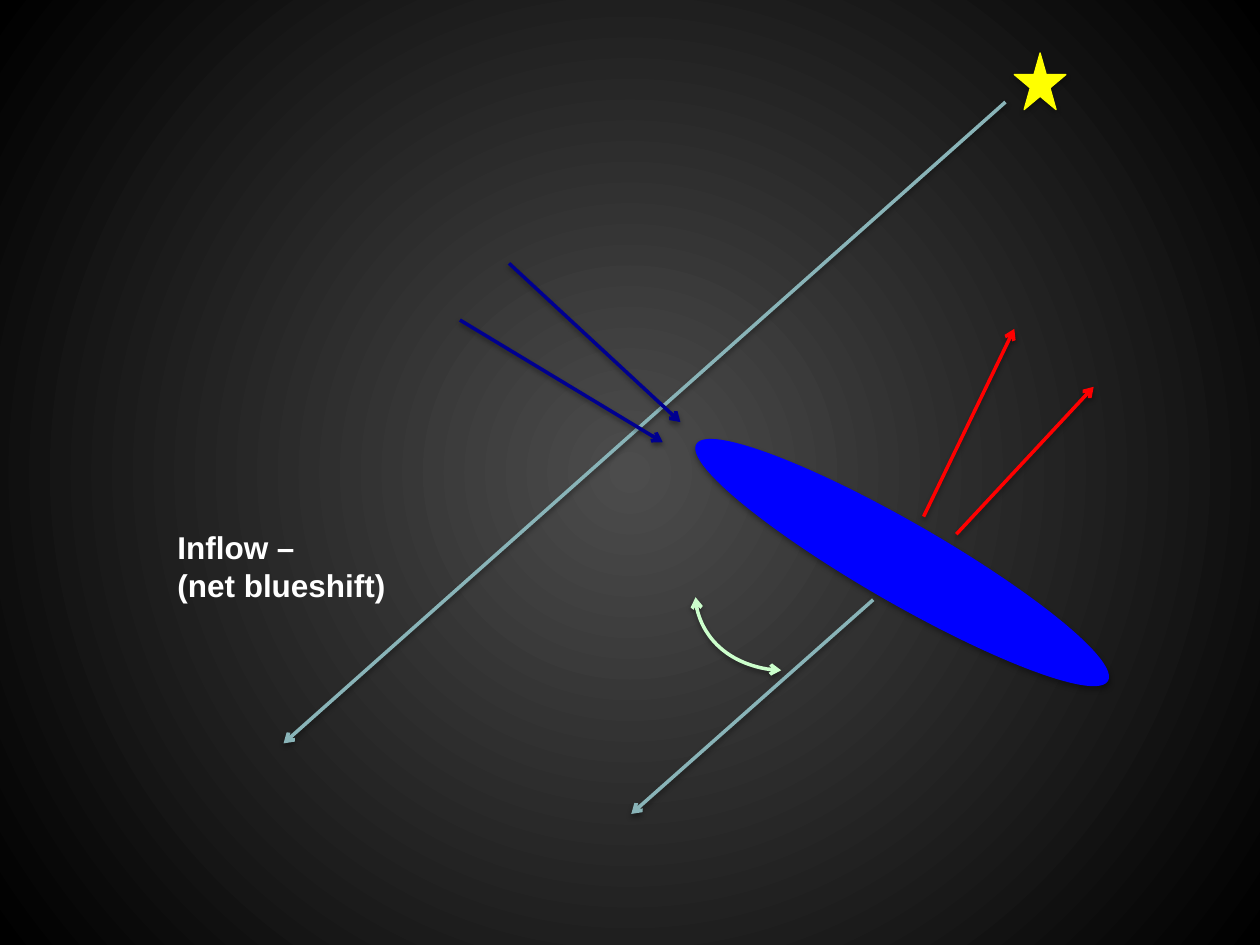
from typing import NamedTuple

from lxml.etree import SubElement
from pptx import Presentation
from pptx.dml.color import RGBColor
from pptx.enum.shapes import MSO_CONNECTOR, MSO_SHAPE
from pptx.enum.text import MSO_AUTO_SIZE
from pptx.oxml import parse_xml
from pptx.oxml.ns import nsdecls, qn
from pptx.util import Inches, Pt

COLUMNS, ROWS = 100, 75
WIDTH, HEIGHT = Inches(10), Inches(7.5)
SIGHT, OUTFLOW, INFLOW, ANGLE = "89B4B8", "FF0000", "000090", "CCFFCC"


class Body(NamedTuple):
    kind: MSO_SHAPE
    left: float
    top: float
    width: float
    height: float
    color: str
    rotation: float = 0


class Arrow(NamedTuple):
    start: tuple[float, float]
    end: tuple[float, float]
    color: str


GALAXY = Body(MSO_SHAPE.OVAL, 52.8, 41.5, 37.6, 6.3, "0000FF", 29.9)
STAR = Body(MSO_SHAPE.STAR_5_POINT, 80.5, 4.2, 4.1, 4.5, "FFFF00")
SIGHT_LINES = [
    Arrow((79.8, 8.1), (22.5, 59), SIGHT),
    Arrow((69.3, 47.6), (50.1, 64.6), SIGHT),
]
INCLINATION = Arrow((62, 53.2), (55.2, 47.4), ANGLE)
FLOWS = [
    Arrow((73.3, 41), (80.5, 26.1), OUTFLOW),
    Arrow((40.4, 20.9), (54, 33.5), INFLOW),
    Arrow((36.5, 25.4), (52.6, 35.1), INFLOW),
    Arrow((75.9, 42.4), (86.8, 30.7), OUTFLOW),
]


def x(column: float) -> int:
    return round(WIDTH * column / COLUMNS)


def y(row: float) -> int:
    return round(HEIGHT * row / ROWS)


def rgb(color: str) -> RGBColor:
    return RGBColor.from_string(color)


def add_shadow(shape, opacity: int, distance: float) -> None:
    shape._element.spPr.append(parse_xml(
        f'<a:effectLst {nsdecls("a")}>'
        f'<a:outerShdw blurRad="{Pt(3.1)}" dist="{Pt(distance)}" dir="5400000" rotWithShape="0">'
        f'<a:srgbClr val="000000"><a:alpha val="{opacity * 1000}"/></a:srgbClr>'
        '</a:outerShdw></a:effectLst>'))


def paint_background(page) -> None:
    page._element.cSld.insert(0, parse_xml(
        f'<p:bg {nsdecls("p", "a")}><p:bgPr><a:gradFill rotWithShape="1"><a:gsLst>'
        '<a:gs pos="0"><a:srgbClr val="4C4C4C"/></a:gs>'
        '<a:gs pos="100000"><a:srgbClr val="000000"/></a:gs></a:gsLst>'
        '<a:path path="circle"><a:fillToRect l="50000" t="50000" r="50000" b="50000"/></a:path>'
        '</a:gradFill><a:effectLst/></p:bgPr></p:bg>'))


def add_body(page, body: Body) -> None:
    shape = page.shapes.add_shape(
        body.kind, x(body.left), y(body.top), x(body.width), y(body.height))
    shape.rotation = body.rotation
    shape.fill.solid()
    shape.fill.fore_color.rgb = rgb(body.color)
    shape.line.color.rgb = rgb(body.color)
    shape.line.width = Pt(0.75)
    add_shadow(shape, 35, 1.8)


def add_arrow(page, arrow: Arrow, curved: bool = False) -> None:
    kind = MSO_CONNECTOR.CURVE if curved else MSO_CONNECTOR.STRAIGHT
    connector = page.shapes.add_connector(
        kind, x(arrow.start[0]), y(arrow.start[1]), x(arrow.end[0]), y(arrow.end[1]))
    connector.line.color.rgb = rgb(arrow.color)
    connector.line.width = Pt(2)
    line = connector.line._get_or_add_ln()
    if curved:
        connector._element.spPr.find(qn("a:prstGeom")).set("prst", "curvedConnector2")
        SubElement(line, qn("a:headEnd"), type="arrow")
    SubElement(line, qn("a:tailEnd"), type="arrow")
    add_shadow(connector, 38, 1.6)


def add_label(page) -> None:
    box = page.shapes.add_textbox(x(13.1), y(41.4), x(18.7), y(7.1))
    frame = box.text_frame
    frame.text = "Inflow –\n(net blueshift)"
    frame.word_wrap = False
    frame.auto_size = MSO_AUTO_SIZE.SHAPE_TO_FIT_TEXT
    for para in frame.paragraphs:
        for span in para.runs:
            span.font.name = "Arial"
            span.font.size = Pt(18)
            span.font.bold = True
            span.font.color.rgb = rgb("FFFFFF")


def main() -> None:
    deck = Presentation()
    deck.slide_width, deck.slide_height = WIDTH, HEIGHT
    page = deck.slides.add_slide(deck.slide_layouts[6])
    paint_background(page)
    for body in (GALAXY, STAR):
        add_body(page, body)
    for arrow in SIGHT_LINES:
        add_arrow(page, arrow)
    add_arrow(page, INCLINATION, curved=True)
    add_label(page)
    for arrow in FLOWS:
        add_arrow(page, arrow)
    deck.save("out.pptx")


if __name__ == "__main__":
    main()
